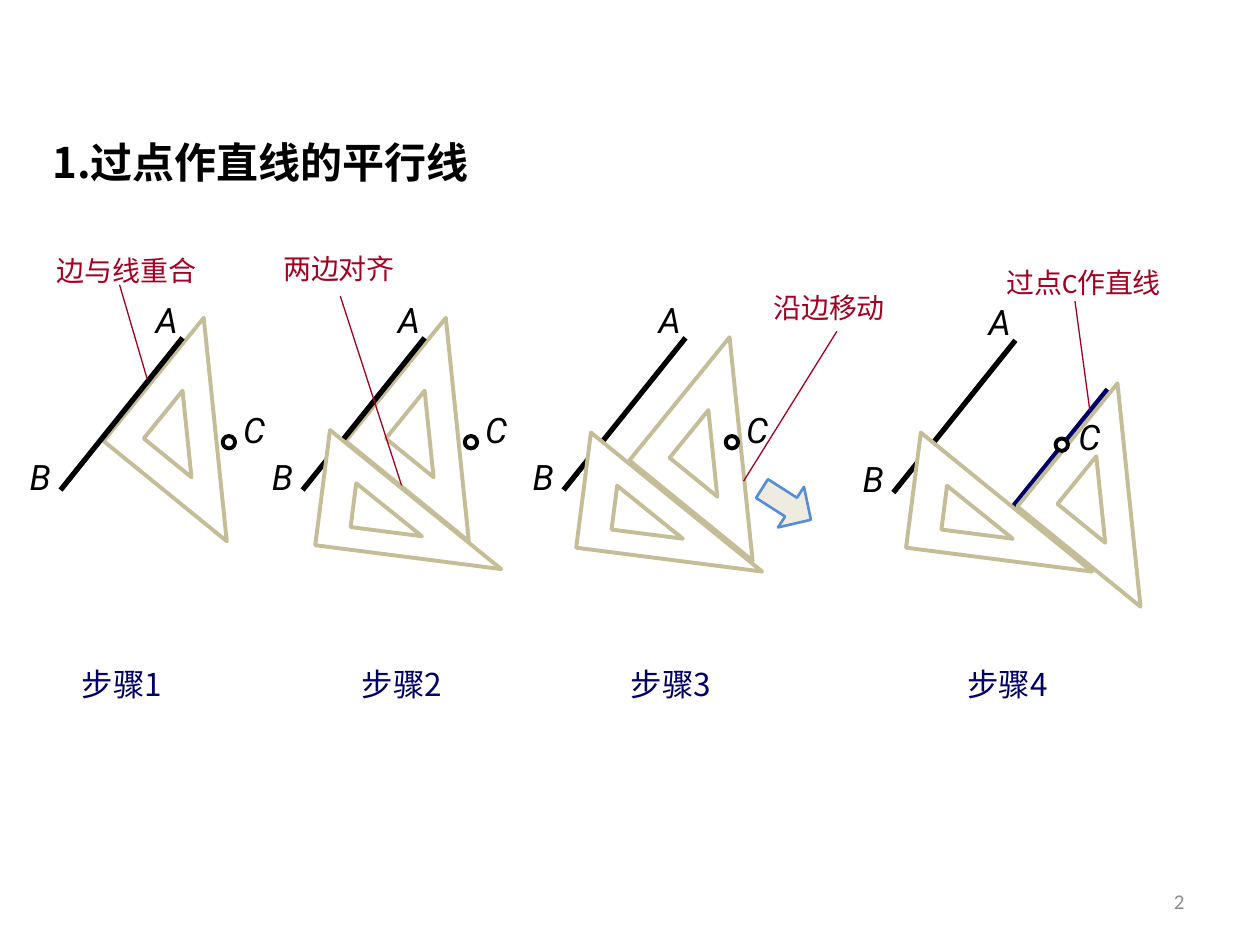
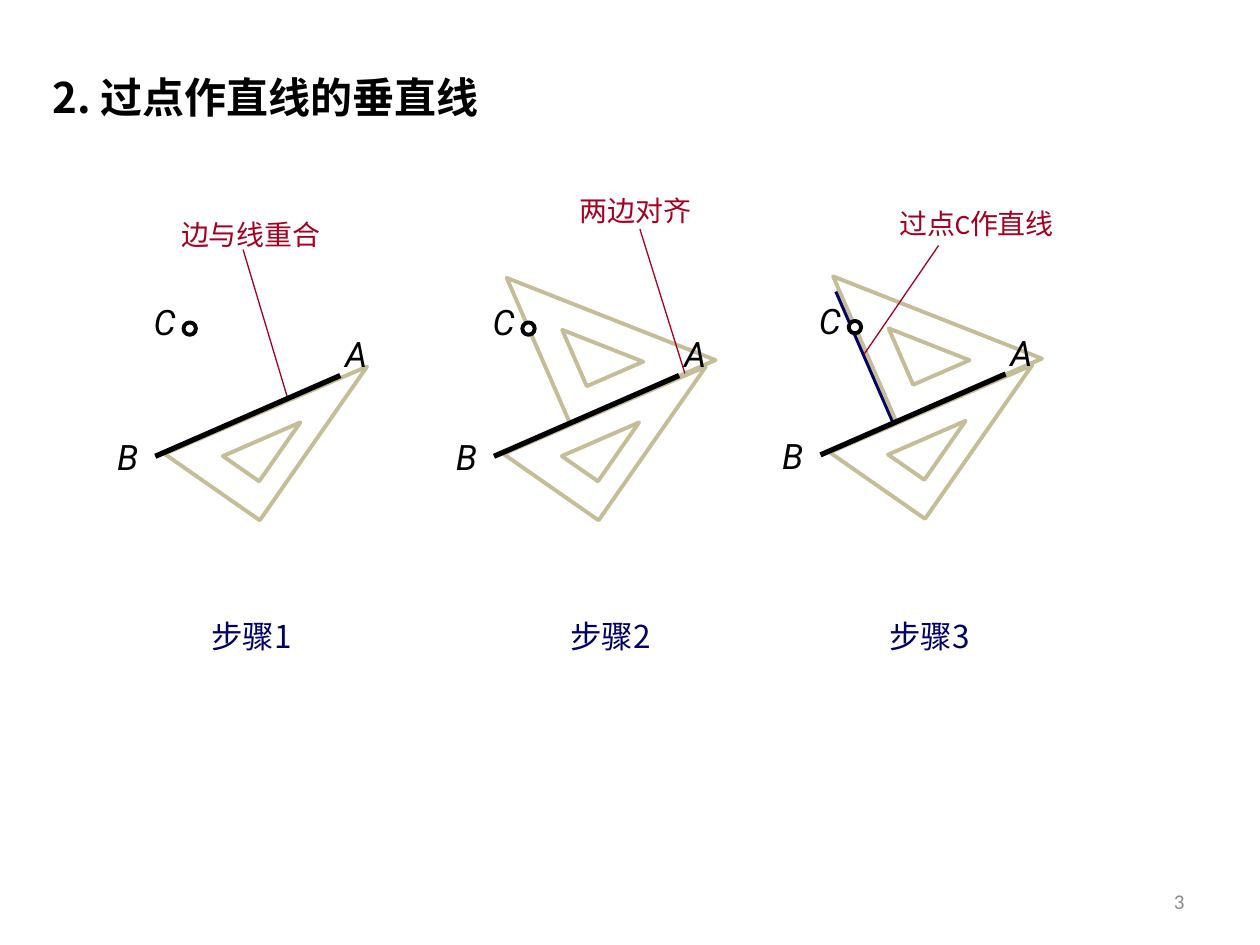
from lxml.etree import SubElement
from pptx import Presentation
from pptx.dml.color import RGBColor
from pptx.enum.shapes import MSO_CONNECTOR, MSO_SHAPE
from pptx.enum.text import MSO_ANCHOR, PP_ALIGN
from pptx.oxml.ns import qn
from pptx.util import Cm, Pt

BLACK = RGBColor(0x00, 0x00, 0x00)
WHITE = RGBColor(0xFF, 0xFF, 0xFF)
NAVY = RGBColor(0x00, 0x00, 0x66)
CRIMSON = RGBColor(0xA5, 0x00, 0x21)
RULER = RGBColor(0xC4, 0xBD, 0x97)
GREY = RGBColor(0x8C, 0x8C, 0x8C)
ARROW_FILL = RGBColor(0xEE, 0xEC, 0xE1)
ARROW_EDGE = RGBColor(0x55, 0x8E, 0xD5)

CJK = "Noto Sans CJK SC"
LATIN = "Calibri"
LETTER = "Roboto"

SQUARE = {"outer": (3.20, 3.20), "inner": (1.24, 1.24), "flip": False}
LONG = {"outer": (2.34, 3.78), "inner": (0.89, 1.45), "flip": True}

PAGES = [
    {
        "title": "1.过点作直线的平行线",
        "title_top": 2.62,
        "number": "2",
        "caption_top": 13.28,
        "layers": ("square", "figure", "callout", "long"),
        "line_end": (-2.46, 3.07),
        "point": (0.81, 1.98),
        "letters": {"A": (-0.79, -0.92), "B": (-3.33, 2.24), "C": (0.97, 1.30)},
        "square": {"turn": 39.1, "hole": (0.41, 1.07)},
        "long": {"turn": 97.3, "hole": (0.19, 1.37)},
        "trace": ((22.33, 7.85), (20.04, 10.69)),
        "arrow": (15.27, 9.68, 1.17, 0.97),
        "steps": [
            {"start": (3.68, 6.81), "caption_left": 1.40, "square": (-0.94, 0.25),
             "callout": ("边与线重合", (0.89, 4.98), 4.27, (2.97, 7.65), (2.41, 5.74))},
            {"start": (8.56, 6.81), "caption_left": 7.04,
             "square": (-0.94, 0.25), "long": (-1.35, 1.37),
             "callout": ("两边对齐", (5.46, 4.95), 3.33, (8.10, 9.80), (6.86, 5.97))},
            {"start": (13.82, 6.81), "caption_left": 12.47,
             "square": (-0.48, 0.64), "long": (-1.35, 1.42),
             "callout": ("沿边移动", (15.34, 5.74), 3.68, (14.99, 9.70), (16.87, 6.68))},
            {"start": (20.47, 6.86), "caption_left": 19.25,
             "square": (0.69, 1.52), "long": (-1.35, 1.37),
             "letters": {"C": (1.02, 1.40)}, "filled_point": True,
             "callout": ("过点C作直线", (20.04, 5.23), 4.88, (21.97, 8.28), (21.67, 6.07))},
        ],
    },
    {
        "title": "2. 过点作直线的垂直线",
        "title_top": 1.32,
        "number": "3",
        "caption_top": 12.32,
        "layers": ("square", "callout", "long", "figure"),
        "line_end": (-3.73, 1.63),
        "point": (-3.16, -1.07),
        "letters": {"A": (-0.15, -0.99), "B": (-4.75, 1.09), "C": (-4.01, -1.63)},
        "square": {"turn": 336.5, "hole": (0.81, 1.52)},
        "long": {"turn": 34.9, "hole": (0.64, 1.75)},
        "trace": ((18.03, 8.53), (16.87, 5.87)),
        "steps": [
            {"start": (6.86, 7.57), "caption_left": 4.01,
             "long": (-2.67, -1.19), "filled_point": True,
             "callout": ("边与线重合", (3.40, 4.27), 4.27, (5.79, 8.00), (4.90, 5.03))},
            {"start": (13.69, 7.57), "caption_left": 11.25,
             "square": (-2.97, -2.74), "long": (-2.67, -1.19), "filled_point": True,
             "callout": ("两边对齐", (11.43, 3.78), 3.33, (13.82, 7.57), (12.90, 4.62))},
            {"start": (20.27, 7.54), "caption_left": 17.68,
             "square": (-2.97, -2.74), "long": (-2.67, -1.19), "filled_point": True,
             "callout": ("过点C作直线", (17.88, 4.04), 4.88, (17.42, 7.14), (18.92, 4.95))},
        ],
    },
]


def shift(start, offset):
    return start[0] + offset[0], start[1] + offset[1]


def add_text(page, text, position, size, font, points, color,
             bold=False, italic=False, align=PP_ALIGN.LEFT, anchor=MSO_ANCHOR.TOP):
    box = page.shapes.add_textbox(*map(Cm, (*position, *size)))
    frame = box.text_frame
    frame.word_wrap = True
    frame.vertical_anchor = anchor
    para = frame.paragraphs[0]
    para.alignment = align
    span = para.add_run()
    span.text = text
    span.font.size = Pt(points)
    span.font.bold = bold
    span.font.italic = italic
    span.font.color.rgb = color
    span.font.name = font
    SubElement(span.font._element, qn("a:ea"), typeface=CJK)


def add_line(page, start, end, color, width):
    line = page.shapes.add_connector(MSO_CONNECTOR.STRAIGHT, *map(Cm, (*start, *end)))
    line.line.color.rgb = color
    line.line.width = Pt(width)
    SubElement(line._element.spPr, qn("a:effectLst"))


def add_outline(page, kind, position, size, edge, width, fill=None, turn=0):
    shape = page.shapes.add_shape(kind, *map(Cm, (*position, *size)))
    shape.shadow.inherit = False
    shape.rotation = turn
    shape.line.color.rgb = edge
    shape.line.width = Pt(width)
    if fill is None:
        shape.fill.background()
    else:
        shape.fill.solid()
        shape.fill.fore_color.rgb = fill
    return shape


def add_set_square(page, position, model, pose):
    for part, corner in (("outer", position), ("inner", shift(position, pose["hole"]))):
        triangle = add_outline(page, MSO_SHAPE.RIGHT_TRIANGLE, corner, model[part],
                               RULER, 2.25, WHITE, pose["turn"])
        if model["flip"]:
            triangle._element.spPr.find(qn("a:xfrm")).set("flipH", "1")


def add_figure(page, content, step):
    start = step["start"]
    add_line(page, start, shift(start, content["line_end"]), BLACK, 3)
    add_outline(page, MSO_SHAPE.OVAL, shift(start, content["point"]), (0.25, 0.25),
                BLACK, 2.25, WHITE if step.get("filled_point") else None)
    letters = {**content["letters"], **step.get("letters", {})}
    for letter, offset in letters.items():
        add_text(page, letter, shift(start, offset), (1.60, 1.09), LETTER, 20, BLACK, italic=True)


def add_callout(page, text, position, width, tip, tail):
    add_line(page, tip, tail, CRIMSON, 0.75)
    add_text(page, text, position, (width, 0.94), LATIN, 16, CRIMSON)


def add_step(page, content, step, number):
    for layer in content["layers"]:
        if layer == "figure":
            add_figure(page, content, step)
        elif layer == "callout":
            add_callout(page, *step["callout"])
        elif layer in step:
            model = SQUARE if layer == "square" else LONG
            add_set_square(page, shift(step["start"], step[layer]), model, content[layer])
    add_text(page, f"步骤{number}", (step["caption_left"], content["caption_top"]),
             (3.38, 1.02), CJK, 18, NAVY)


def add_page(deck, content):
    page = deck.slides.add_slide(deck.slide_layouts[6])
    add_text(page, content["number"], (18.21, 17.65), (5.92, 1.02), LATIN, 12, GREY,
             align=PP_ALIGN.RIGHT, anchor=MSO_ANCHOR.MIDDLE)
    add_text(page, content["title"], (0.81, content["title_top"]), (20.60, 1.27),
             CJK, 24, BLACK, bold=True)
    add_line(page, *content["trace"], NAVY, 3)
    for number, step in enumerate(content["steps"], 1):
        add_step(page, content, step, number)
    if "arrow" in content:
        left, top, width, height = content["arrow"]
        arrow = add_outline(page, MSO_SHAPE.RIGHT_ARROW, (left, top), (width, height),
                            ARROW_EDGE, 1.5, ARROW_FILL, 32.5)
        arrow.adjustments[0] = 0.46
        arrow.adjustments[1] = 0.49


def main():
    deck = Presentation()
    deck.slide_width, deck.slide_height = Cm(25.4), Cm(19.05)
    for content in PAGES:
        add_page(deck, content)
    deck.save("out.pptx")


if __name__ == "__main__":
    main()
